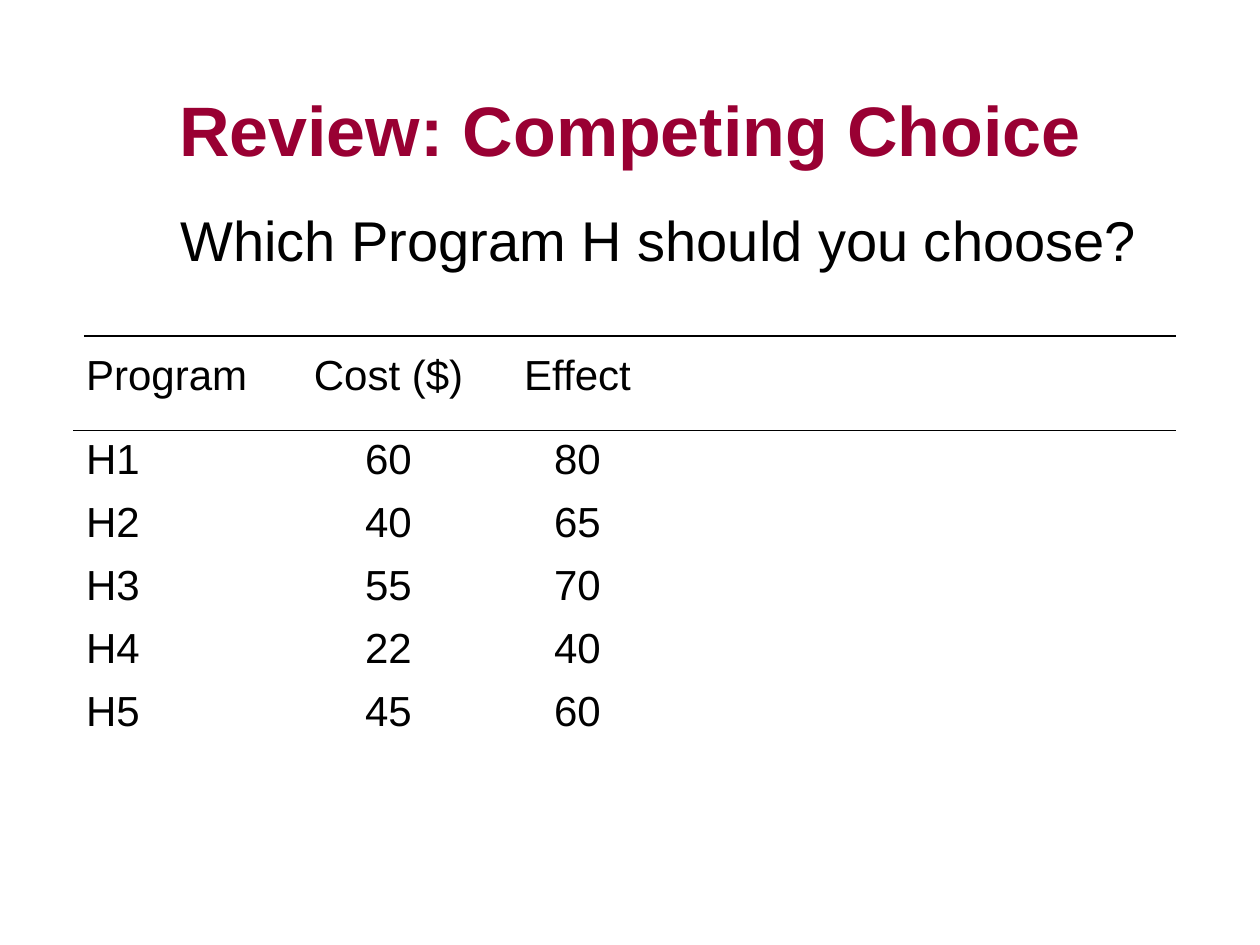
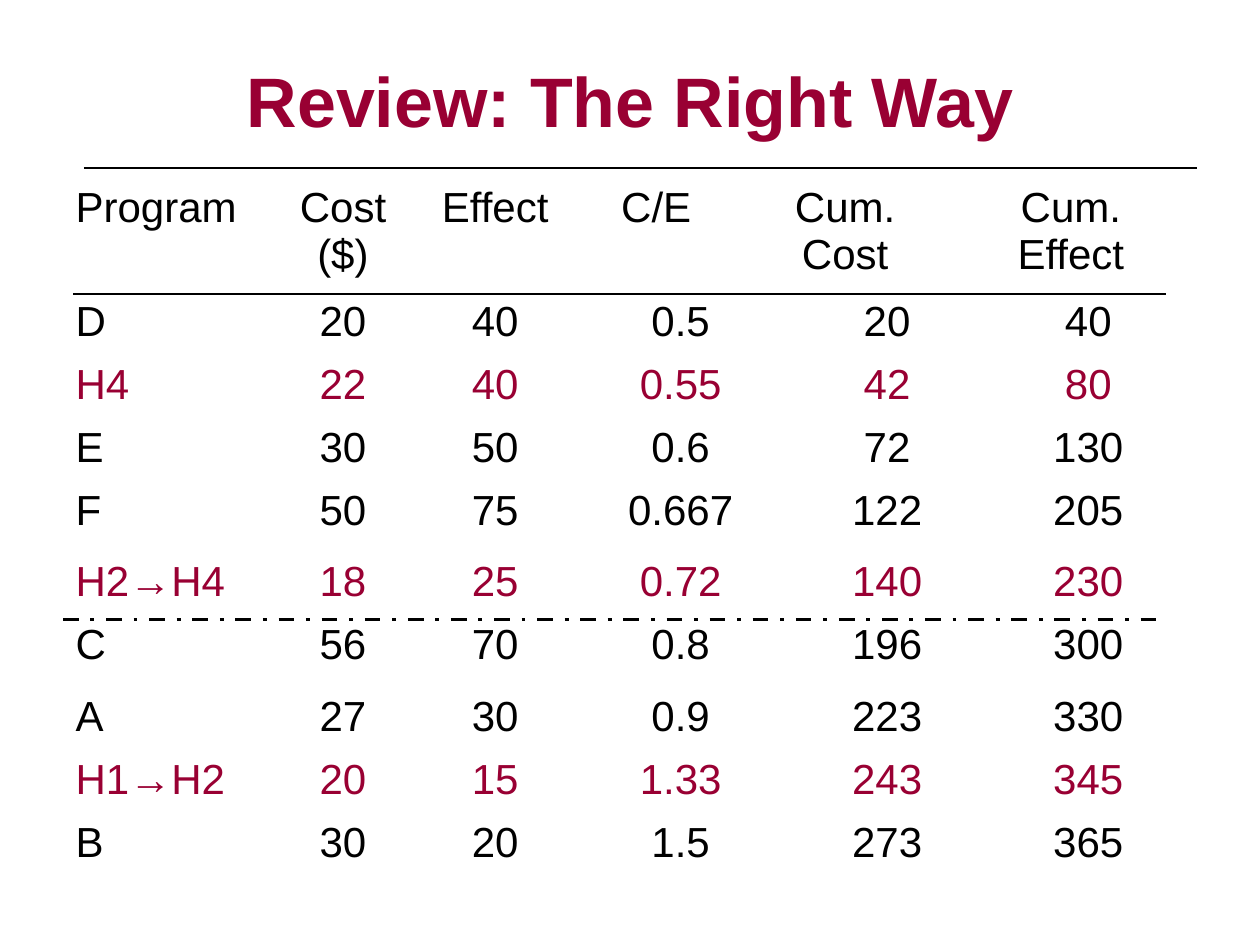
from dataclasses import dataclass
from typing import NamedTuple

from pptx import Presentation
from pptx.dml.color import RGBColor
from pptx.enum.dml import MSO_LINE
from pptx.enum.shapes import MSO_CONNECTOR
from pptx.enum.text import MSO_ANCHOR, MSO_AUTO_SIZE, PP_ALIGN
from pptx.oxml.ns import qn
from pptx.util import Emu, Inches, Pt

LEFT, CENTER = PP_ALIGN.LEFT, PP_ALIGN.CENTER
MIDDLE = MSO_ANCHOR.MIDDLE
GROW = MSO_AUTO_SIZE.SHAPE_TO_FIT_TEXT
STRAIGHT = MSO_CONNECTOR.STRAIGHT
DASH_DOT = MSO_LINE.DASH_DOT

TITLE_ONLY = 5
# The grid has 120 columns and 90 rows per slide
UNIT = Inches(10) / 120


# Theme
@dataclass(frozen=True)
class Theme:
    font: str = "Arial"
    ink: RGBColor = RGBColor(0, 0, 0)
    red: RGBColor = RGBColor(0x99, 0, 0x33)
    title: int = 40
    lead: int = 32
    cell: int = 24
    thin: float = 1
    thick: float = 2.25


THEME = Theme()


# Parts of a slide, in grid units
class Box(NamedTuple):
    left: float
    top: float
    wide: float
    high: float


class Rule(NamedTuple):
    left: float
    right: float
    row: float
    cutoff: bool = False


class Grid(NamedTuple):
    left: float
    top: float
    cols: tuple[float, ...]
    rows: tuple[float, ...]
    head: tuple[str, ...]
    body: tuple[tuple[str, ...], ...]
    red: tuple[str, ...] = ()


class Page(NamedTuple):
    title: str
    place: Box
    grid: Grid
    rules: tuple[Rule, ...]
    lead: str = ""


# Both tables share their right-hand columns and the way cells are joined
TAIL = (4.67, 16.33, 3.33, 18.67)
HEAD_SLOTS = (0, 1, 2, 3, 4, 6)
BODY_SLOTS = (0, 1, 2, 3, 5, 7)
HEAD_JOINS = ((4, 5), (6, 7))
BODY_JOINS = ((3, 4), (5, 6))
LEAD_BOX = Box(16, 19, 93.5, 7.7)

PAGES = (
    Page(
        "Review: Competing Choice",
        Box(3, 7, 114, 10.4),
        Grid(
            7, 33, (21, 18, 18, 7) + TAIL, (8,) + (6,) * 5,
            ("Program", "Cost ($)", "Effect"),
            (
                ("H1", "60", "80"),
                ("H2", "40", "65"),
                ("H3", "55", "70"),
                ("H4", "22", "40"),
                ("H5", "45", "60"),
            ),
        ),
        (Rule(7, 112, 41), Rule(8, 112, 32)),
        "Which Program H should you choose?",
    ),
    Page(
        "Review: The Right Way",
        Box(9, 3, 102, 13),
        Grid(
            6, 17, (20, 13.33, 15.67, 15) + TAIL,
            (10.8, 6, 6, 6, 6.84, 6, 6.84, 6, 6, 6),
            ("Program", "Cost ($)", "Effect", "C/E", "Cum. Cost", "Cum. Effect"),
            (
                ("D", "20", "40", "0.5", "20", "40"),
                ("H4", "22", "40", "0.55", "42", "80"),
                ("E", "30", "50", "0.6", "72", "130"),
                ("F", "50", "75", "0.667", "122", "205"),
                ("H2→H4", "18", "25", "0.72", "140", "230"),
                ("C", "56", "70", "0.8", "196", "300"),
                ("A", "27", "30", "0.9", "223", "330"),
                ("H1→H2", "20", "15", "1.33", "243", "345"),
                ("B", "30", "20", "1.5", "273", "365"),
            ),
            ("H4", "H2→H4", "H1→H2"),
        ),
        (Rule(7, 111, 28), Rule(8, 114, 16), Rule(6, 111, 59, True)),
    ),
)


def span(units: float) -> Emu:
    return Emu(round(units * UNIT))


def write(frame, text: str, size: int, color: RGBColor,
          align=LEFT, bold: bool = False) -> None:
    para = frame.paragraphs[0]
    para.alignment = align
    run = para.add_run()
    run.text = text
    font = run.font
    font.name, font.size, font.bold = THEME.font, Pt(size), bold
    font.color.rgb = color


def add_title(slide, text: str, place: Box) -> None:
    shape = slide.shapes.title
    shape.left, shape.top, shape.width, shape.height = map(span, place)
    shape.text_frame.vertical_anchor = MIDDLE
    write(shape.text_frame, text, THEME.title, THEME.red, CENTER, True)


def add_lead(slide, text: str) -> None:
    frame = slide.shapes.add_textbox(*map(span, LEAD_BOX)).text_frame
    frame.word_wrap = False
    frame.auto_size = GROW
    write(frame, text, THEME.lead, THEME.ink)


def add_rule(slide, rule: Rule) -> None:
    row = span(rule.row)
    line = slide.shapes.add_connector(
        STRAIGHT, span(rule.left), row, span(rule.right), row)
    line.line.color.rgb = THEME.ink
    line.line.width = Pt(THEME.thick if rule.cutoff else THEME.thin)
    if rule.cutoff:
        line.line.dash_style = DASH_DOT
    props = line._element.spPr
    props.append(props.makeelement(qn("a:effectLst"), {}))


def add_grid(slide, grid: Grid) -> None:
    table = slide.shapes.add_table(
        len(grid.rows), len(grid.cols), span(grid.left), span(grid.top),
        span(sum(grid.cols)), span(sum(grid.rows))).table
    table.first_row = table.horz_banding = False
    for col, wide in zip(table.columns, grid.cols):
        col.width = span(wide)
    for row, high in zip(table.rows, grid.rows):
        row.height = span(high)
    for cell in table.iter_cells():
        cell.fill.background()

    # Header and body rows join different columns
    for num, texts in enumerate((grid.head,) + grid.body):
        slots, joins = ((BODY_SLOTS, BODY_JOINS) if num
                        else (HEAD_SLOTS, HEAD_JOINS))
        for first, last in joins:
            table.cell(num, first).merge(table.cell(num, last))
        color = THEME.red if texts[0] in grid.red else THEME.ink
        for slot, text in zip(slots, texts):
            write(table.cell(num, slot).text_frame, text, THEME.cell, color,
                  CENTER if slot else LEFT)


def add_page(deck, page: Page) -> None:
    slide = deck.slides.add_slide(deck.slide_layouts[TITLE_ONLY])
    add_title(slide, page.title, page.place)
    add_grid(slide, page.grid)
    if page.lead:
        add_lead(slide, page.lead)
    for rule in page.rules:
        add_rule(slide, rule)


def main() -> None:
    deck = Presentation()
    deck.slide_width, deck.slide_height = span(120), span(90)
    for page in PAGES:
        add_page(deck, page)
    deck.save("out.pptx")


if __name__ == "__main__":
    main()
